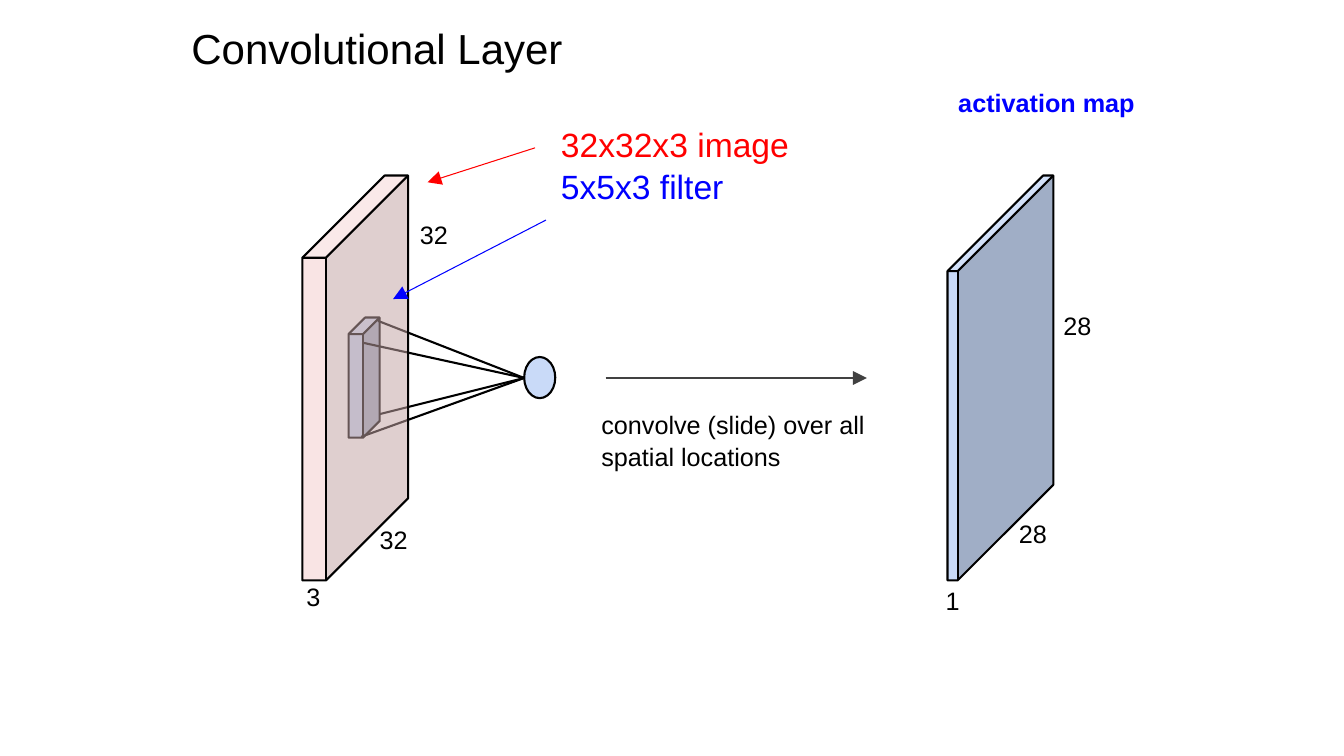
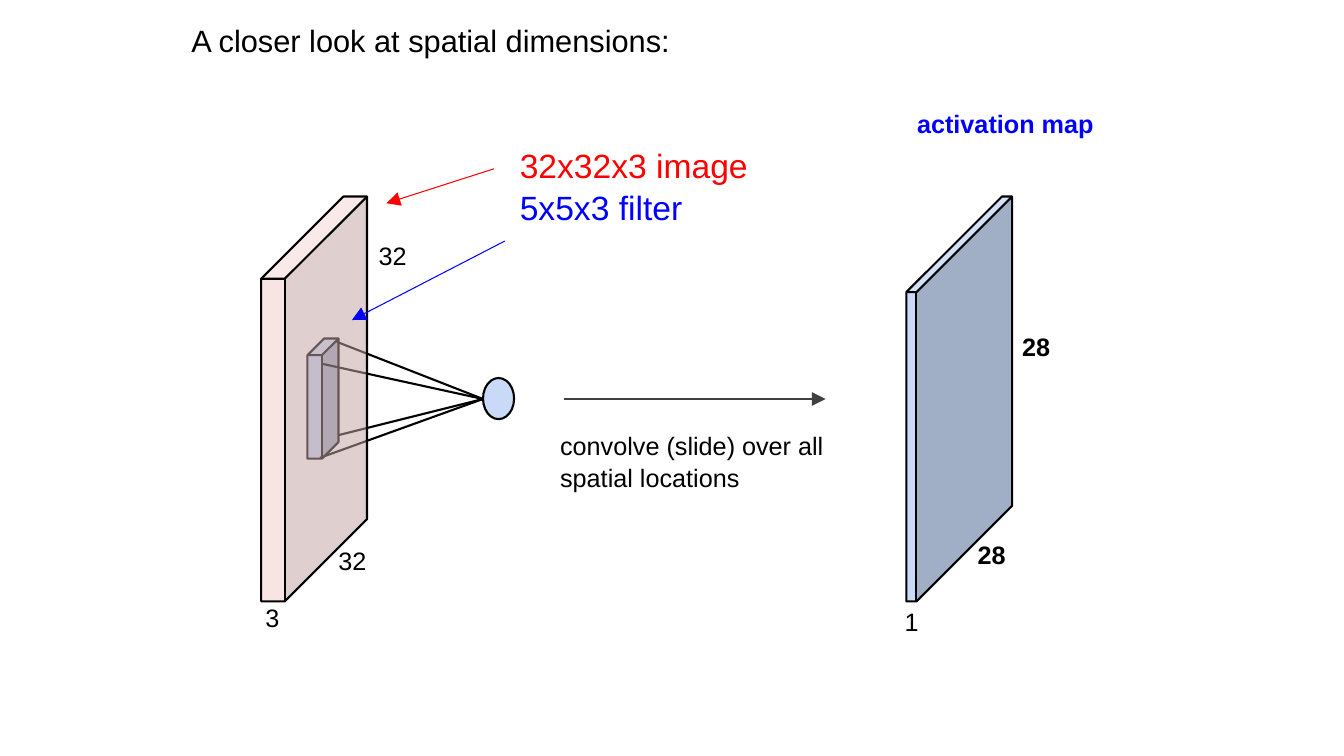
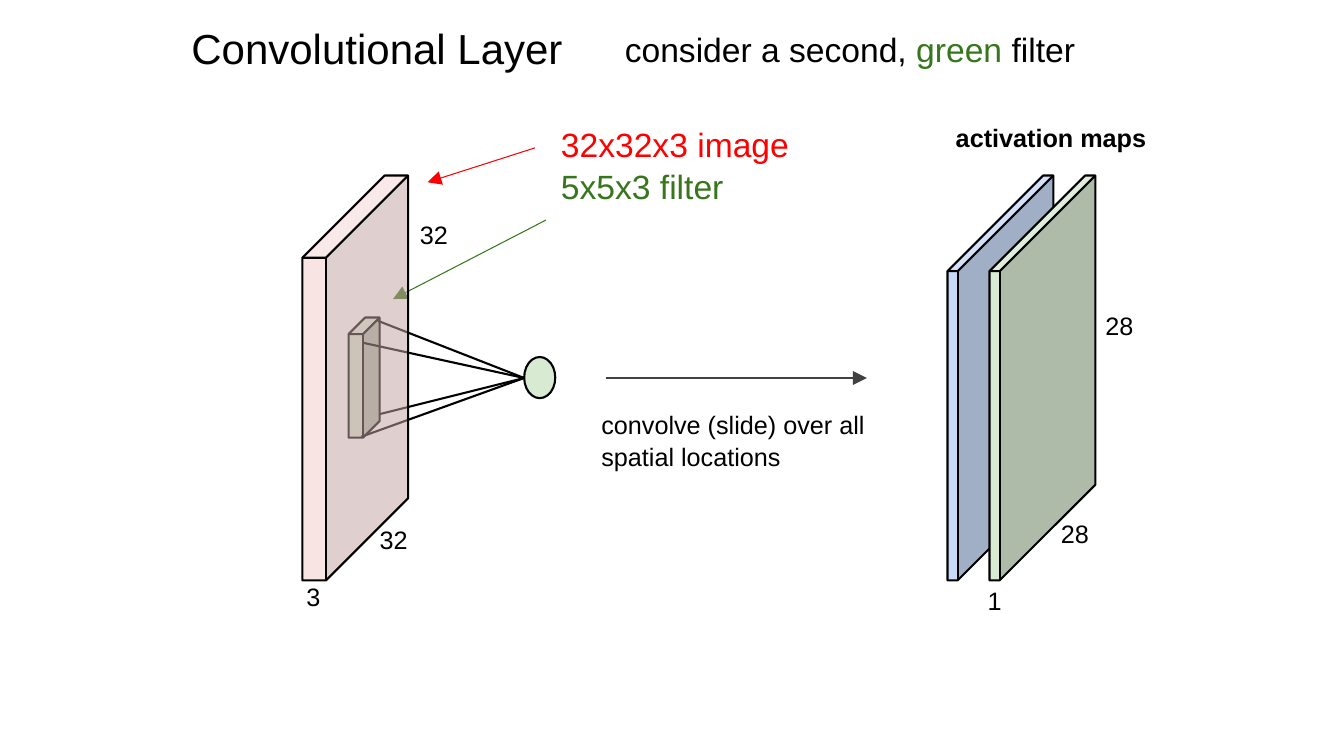
import pptx
import pptx.dml.color
import pptx.enum.shapes
import pptx.oxml
import pptx.oxml.ns
import pptx.util

SHAPE = pptx.enum.shapes.MSO_SHAPE
BLACK, RED, BLUE, GREEN, GRAY = "000000", "FF0000", "0000FF", "38761D", "414141"
PALE_RED, PALE_BLUE, PALE_GREEN = "F4CCCC", "C9DAF8", "D9EAD3"
COLS, ROWS = 160, 90
MAP_STEP = 5


def rgb(code):
    return pptx.dml.color.RGBColor.from_string(code)


def add_xml(parent, tag, **attrs):
    el = pptx.oxml.parse_xml(f"<a:{tag} {pptx.oxml.ns.nsdecls('a')}/>")
    for name, value in attrs.items():
        el.set(name, value)
    parent.append(el)


class Deck:
    """Holds the style, the current slide and the grid on which elements are placed."""

    FONT = "Arial"
    INSET = pptx.util.Inches(0.1)

    def __init__(self):
        self.prs = pptx.Presentation()
        self.prs.slide_width = pptx.util.Inches(13.33)
        self.prs.slide_height = pptx.util.Inches(7.5)

    def new_slide(self):
        self.s = self.prs.slides.add_slide(self.prs.slide_layouts[6])
        self.shift = (0, 0)

    def size(self, cols, rows):
        return (int(self.prs.slide_width * cols / COLS),
                int(self.prs.slide_height * rows / ROWS))

    def point(self, col, row):
        return self.size(col + self.shift[0], row + self.shift[1])

    def text(self, at, size, *paragraphs, points=18, bold=False):
        sp = self.s.shapes.add_textbox(*self.point(*at), *self.size(*size))
        tf = sp.text_frame
        tf.word_wrap = True
        tf.margin_left = tf.margin_right = tf.margin_top = tf.margin_bottom = self.INSET
        for i, runs in enumerate(paragraphs):
            p = tf.add_paragraph() if i else tf.paragraphs[0]
            p.line_spacing = 1.04
            for words, color in runs:
                r = p.add_run()
                r.text = words
                r.font.name = self.FONT
                r.font.size = pptx.util.Pt(points)
                r.font.bold = bold
                r.font.color.rgb = rgb(color)

    def label(self, at, words, bold=False):
        self.text(at, (6.5, 5.4), [(words, BLACK)], bold=bold)

    def shape(self, kind, at, size, fill, alpha=100):
        sp = self.s.shapes.add_shape(kind, *self.point(*at), *self.size(*size))
        sp.shadow.inherit = False
        sp.fill.solid()
        sp.fill.fore_color.rgb = rgb(fill)
        if alpha < 100:
            color = sp.fill._xPr.find(".//" + pptx.oxml.ns.qn("a:srgbClr"))
            add_xml(color, "alpha", val=str(alpha * 1000))
        sp.line.color.rgb = rgb(BLACK)
        sp.line.width = pptx.util.Pt(1.5)
        return sp

    def cube(self, at, size, depth, fill, alpha=100):
        self.shape(SHAPE.CUBE, at, size, fill, alpha).adjustments[0] = depth

    def line(self, start, end, color=BLACK, width=1.5, arrow=False):
        cx = self.s.shapes.add_connector(pptx.enum.shapes.MSO_CONNECTOR.STRAIGHT,
                                         *self.point(*start), *self.point(*end))
        cx.line.width = pptx.util.Pt(width)
        cx.line.color.rgb = rgb(color)
        if arrow:
            add_xml(cx.line._get_or_add_ln(), "tailEnd", type="triangle", w="lg", len="lg")
        add_xml(cx._element.spPr, "effectLst")

    def arrow(self, start, end, color):
        self.line(start, end, color, 0.75, arrow=True)

    def title(self, words, points=30):
        self.text((21.6, 1.2), (105, 11), [(words, BLACK)], points=points)

    def filter(self, fill):
        self.cube((41.5, 37.8), (3.7, 14.3), 0.534, fill)
        self.shape(SHAPE.OVAL, (62.4, 42.5), (3.7, 4.9), fill)
        for corner in ((43, 52), (43.2, 40.8), (45, 38.2), (45.2, 49.3)):
            self.line(corner, (62.4, 45))

    def image(self):
        self.cube((36, 20.9), (12.6, 48.2), 0.777, PALE_RED, 52)
        for at, words in (((44, 61.1), "32"), ((48.8, 24.8), "32"), ((35.3, 67.9), "3")):
            self.label(at, words)

    def legend(self, filter_color):
        self.text((65.6, 13.4), (47.8, 9.7), [("32x32x3 image", RED)],
                  [("5x5x3 filter", filter_color)], points=24)
        self.arrow((63.7, 17.6), (50.9, 21.7), RED)
        self.arrow((65, 26.2), (46.8, 35.6), filter_color)

    def convolve(self):
        self.arrow((72.1, 45), (103.2, 45), GRAY)
        self.text((70.4, 47.4), (43, 14.3),
                  [("convolve (slide) over all spatial locations", BLACK)])

    def maps(self, *fills, bold=False):
        for i, fill in enumerate(fills):
            dx = i * MAP_STEP
            self.cube((112.8 + dx, 20.9), (12.6, 48.2), 0.904, fill)
        self.label((111.4 + dx, 68.3), "1")
        self.label((120.1 + dx, 60.4), "28", bold)
        self.label((125.4 + dx, 35.6), "28", bold)

    def caption(self, at, words, color):
        self.text(at, (27, 9.5), [(words, color)], bold=True)


def blue_slide(deck, title, points=30, shift=(0, 0), bold=False):
    deck.new_slide()
    deck.title(title, points)
    deck.shift = shift
    deck.filter(PALE_BLUE)
    deck.image()
    deck.legend(BLUE)
    deck.convolve()
    deck.maps(PALE_BLUE, bold=bold)
    deck.caption((112.9, 9.1), "activation map", BLUE)


def green_slide(deck):
    deck.new_slide()
    deck.title("Convolutional Layer")
    deck.filter(PALE_GREEN)
    deck.legend(GREEN)
    deck.convolve()
    deck.maps(PALE_BLUE, PALE_GREEN)
    deck.caption((112.6, 13.2), "activation maps", BLACK)
    deck.image()
    deck.text((73.2, 2), (66.5, 4.9), [("consider a second, ", BLACK), ("green ", GREEN),
                                       ("filter", BLACK)], points=24)


def main():
    deck = Deck()
    blue_slide(deck, "Convolutional Layer")
    blue_slide(deck, "A closer look at spatial dimensions:", 22, (-4.9, 2.5), True)
    green_slide(deck)
    deck.prs.save("out.pptx")


if __name__ == "__main__":
    main()
